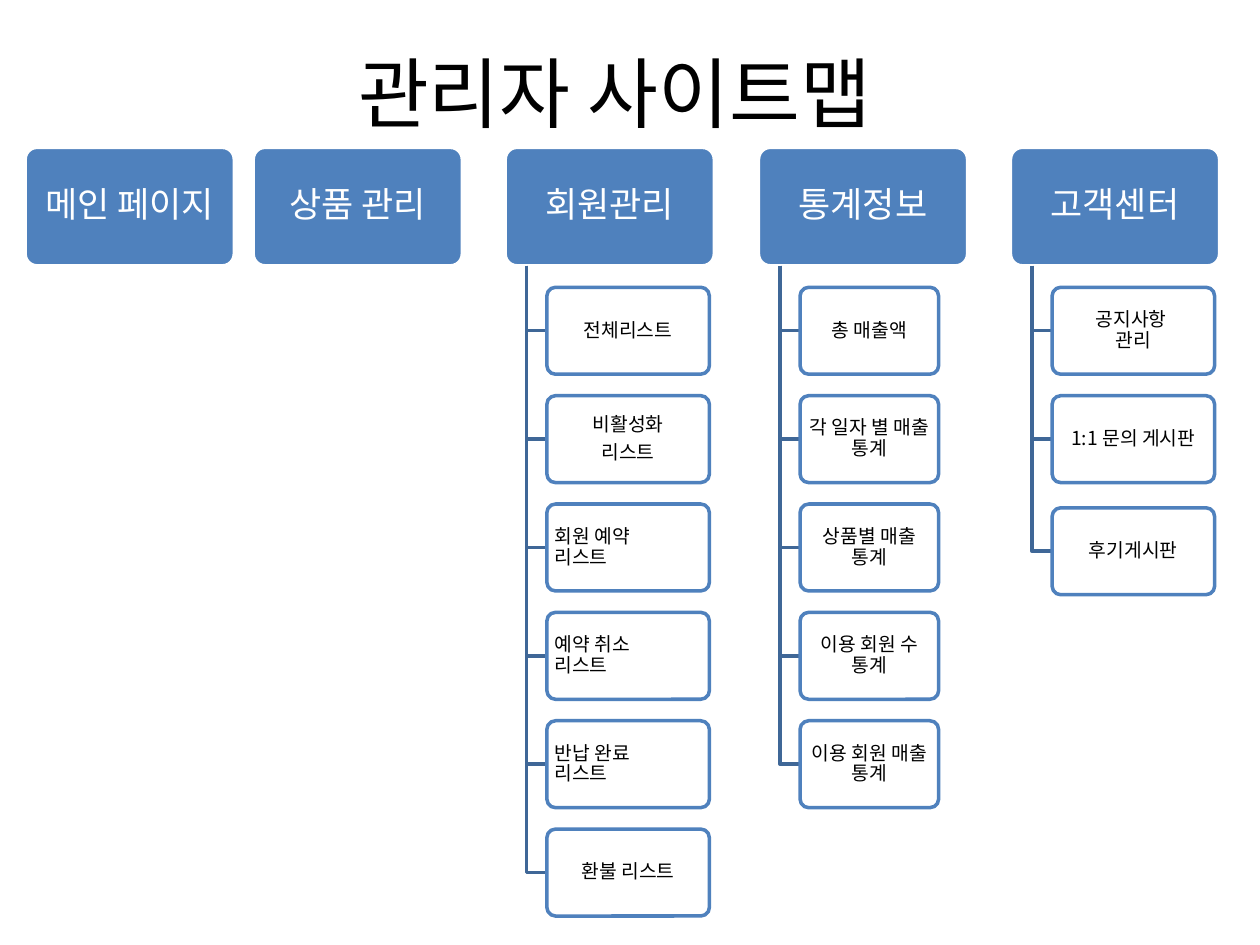
from lxml import etree
from pptx import Presentation
from pptx.dml.color import RGBColor
from pptx.enum.shapes import MSO_SHAPE
from pptx.enum.text import MSO_ANCHOR, PP_ALIGN
from pptx.oxml.ns import qn
from pptx.util import Inches, Pt

ROUNDED = MSO_SHAPE.ROUNDED_RECTANGLE
MIDDLE = MSO_ANCHOR.MIDDLE
CENTER, LEFT = PP_ALIGN.CENTER, PP_ALIGN.LEFT

COLORS = {"blue": "4F81BD", "link": "3F6797", "white": "FFFFFF", "black": "000000"}
FONT = "Noto Sans CJK KR"

HEADER_TOP, HEADER_WIDTH, HEADER_HEIGHT = 1.17, 1.66, 0.94
ITEM_TOP, ITEM_HEIGHT, ITEM_PITCH = 2.28, 0.69, 0.86
TRUNK_INDENT, ITEM_INDENT = 0.17, 0.33
TAB_INDENT, TAB_STOP = 0.02, 0.78

# Left edge, heading, item width, items as (text, extra drop).
# In texts, \n parts paragraphs, \v breaks a line and \t jumps to the tab stop.
COLUMNS = [
    (0.2, "메인 페이지", 0, []),
    (2.01, "상품 관리", 0, []),
    (4.01, "회원관리", 1.29, [
        ("전체리스트", 0),
        ("비활성화\n리스트", 0),
        ("회원 예약\t리스트", 0),
        ("예약 취소\t리스트", 0),
        ("반납 완료\t리스트", 0),
        ("환불 리스트", 0),
    ]),
    (6.02, "통계정보", 1.1, [
        ("총 매출액", 0),
        ("각 일자 별 매출 통계", 0),
        ("상품별 매출 통계", 0),
        ("이용 회원 수 통계", 0),
        ("이용 회원 매출 통계", 0),
    ]),
    (8.02, "고객센터", 1.29, [
        ("공지사항 \v관리", 0),
        ("1:1 문의 게시판", 0),
        ("후기게시판", 0.03),
    ]),
]


def rgb(name):
    """Return the named colour."""
    return RGBColor.from_string(COLORS[name])


def add_run(paragraph, text, size, color):
    """Add one styled run."""
    run = paragraph.add_run()
    run.text = text
    run.font.size = Pt(size)
    run.font.color.rgb = rgb(color)
    run.font.name = FONT
    etree.SubElement(run.font._element, qn("a:ea"), typeface=FONT)


def set_tab_stop(paragraph):
    """Left-align a paragraph and give it a tab stop."""
    paragraph.alignment = LEFT
    properties = paragraph._p.get_or_add_pPr()
    properties.set("marL", str(Inches(TAB_INDENT)))
    properties.set("indent", "0")
    tabs = etree.SubElement(properties, qn("a:tabLst"))
    etree.SubElement(tabs, qn("a:tab"), pos=str(Inches(TAB_STOP)), algn="l")


def fill_text(shape, text, size, color, spacing, insets):
    """Write text into a shape, centred in both directions."""
    frame = shape.text_frame
    frame.word_wrap = True
    frame.vertical_anchor = MIDDLE
    frame.margin_left = frame.margin_right = Inches(insets[0])
    frame.margin_top = frame.margin_bottom = Inches(insets[1])
    parts = text.split("\n")
    for index, part in enumerate(parts):
        paragraph = frame.add_paragraph() if index else frame.paragraphs[0]
        paragraph.alignment = CENTER
        paragraph.line_spacing = spacing
        if index < len(parts) - 1:
            paragraph.space_after = Pt(4)
        if "\t" in part:
            set_tab_stop(paragraph)
        for number, line in enumerate(part.split("\v")):
            if number:
                paragraph.add_line_break()
            add_run(paragraph, line, size, color)


def add_box(slide, left, top, width, height, fill, line):
    """Add a rounded box without shadow."""
    shape = slide.shapes.add_shape(
        ROUNDED, Inches(left), Inches(top), Inches(width), Inches(height))
    shape.adjustments[0] = 0.1
    shape.shadow.inherit = False
    shape.fill.solid()
    shape.fill.fore_color.rgb = rgb(fill)
    shape.line.color.rgb = rgb(line)
    shape.line.width = Pt(2)
    return shape


def add_link(slide, left, top, right, bottom):
    """Add an elbow line going down and then right."""
    builder = slide.shapes.build_freeform(Inches(left), Inches(top))
    builder.add_line_segments(
        [(Inches(left), Inches(bottom)), (Inches(right), Inches(bottom))], close=False)
    link = builder.convert_to_shape()
    link.shadow.inherit = False
    link.fill.background()
    link.line.color.rgb = rgb("link")
    link.line.width = Pt(2)


def add_column(slide, left, heading, item_width, items):
    """Add a heading box with its linked items below."""
    header = add_box(slide, left, HEADER_TOP, HEADER_WIDTH, HEADER_HEIGHT, "blue", "white")
    fill_text(header, heading, 20, "white", 0.9, (0.04, 0.03))
    item_left = left + ITEM_INDENT
    for index, (text, drop) in enumerate(items):
        top = ITEM_TOP + index * ITEM_PITCH + drop
        add_link(slide, left + TRUNK_INDENT, HEADER_TOP + HEADER_HEIGHT,
                 item_left, top + ITEM_HEIGHT / 2)
        item = add_box(slide, item_left, top, item_width, ITEM_HEIGHT, "white", "blue")
        color = item.fill._xPr.find(qn("a:solidFill"))[0]
        etree.SubElement(color, qn("a:alpha"), val="90000")
        fill_text(item, text, 11, "black", 0.9, (0.02, 0.02))


def add_title(slide, left, top, width, height):
    """Add the slide title."""
    title = slide.shapes.add_textbox(
        Inches(left), Inches(top), Inches(width), Inches(height))
    fill_text(title, "관리자 사이트맵", 44, "black", 1.0, (0.1, 0.05))


def main():
    """Build the site map slide."""
    presentation = Presentation()
    presentation.slide_width = Inches(10)
    presentation.slide_height = Inches(7.5)
    slide = presentation.slides.add_slide(presentation.slide_layouts[6])
    for column in COLUMNS:
        add_column(slide, *column)
    add_title(slide, 0.63, 0.29, 8.5, 0.87)
    presentation.save("out.pptx")


main()
